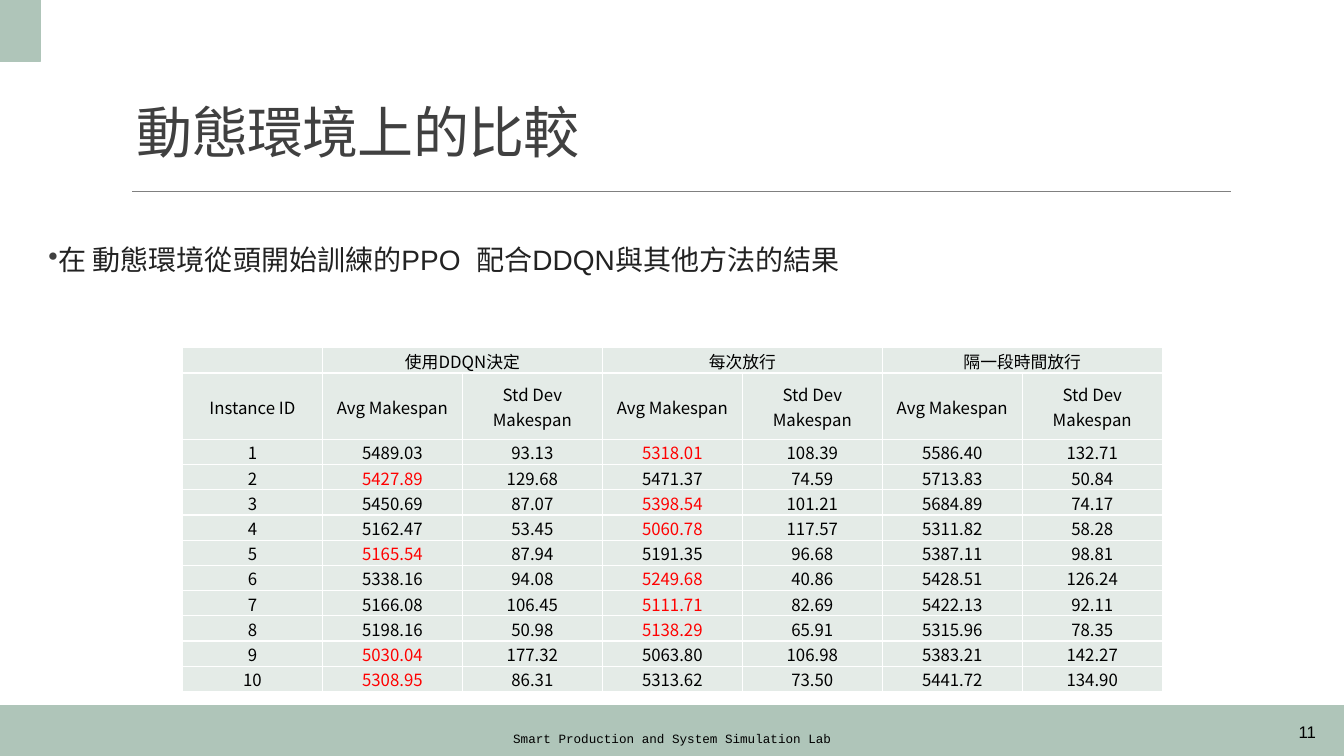
from lxml import etree
from pptx import Presentation
from pptx import util as u
from pptx.dml.color import RGBColor
from pptx.enum import shapes, text
from pptx.oxml.ns import qn

SAGE, PALE, RED = "AFC5B9", "E4EBE7", "FF0000"
NOTO = "Noto Sans CJK SC"
SIDES = ("left", "top", "right", "bottom")


def color(code):
    return RGBColor.from_string(code)


def fit(item, values):
    for key, value in values.items():
        setattr(item, key, value)


def inset(*sizes):
    return {f"margin_{side}": u.Inches(size) for side, size in zip(SIDES, sizes)}


class Page:
    def __init__(self, deck):
        self.slide = deck.slides.add_slide(deck.slide_layouts[6])
        self.shapes = self.slide.shapes
        self.base = {"size": u.Pt(12), "name": NOTO}

    def block(self, *box):
        bar = self.shapes.add_shape(shapes.MSO_SHAPE.RECTANGLE, *map(u.Inches, box))
        bar.shadow.inherit = False
        bar.fill.solid()
        bar.fill.fore_color.rgb = color(SAGE)
        bar.line.color.rgb = color(SAGE)
        bar.line.width = u.Pt(1.25)

    def rule(self, *ends):
        line = self.shapes.add_connector(shapes.MSO_CONNECTOR.STRAIGHT, *map(u.Inches, ends))
        line.line.color.rgb = color("808080")
        line.line.width = u.Pt(0.5)
        etree.SubElement(line._element.spPr, qn("a:effectLst"))

    def phrase(self, para, words, tint="000000", **style):
        run = para.add_run()
        run.text = words
        fit(run.font, self.base | style)
        run.font.color.rgb = color(tint)
        props = run._r.get_or_add_rPr()
        etree.SubElement(props, qn("a:ea"), typeface=NOTO)
        return props

    def label(self, box, words, frame, layout, **style):
        body = self.shapes.add_textbox(*map(u.Inches, box)).text_frame
        fit(body, {"word_wrap": True} | frame)
        para = body.paragraphs[0]
        fit(para, layout)
        return para, self.phrase(para, words, **style)

    def bullet(self, para, tint):
        props = para._p.get_or_add_pPr()
        props.set("marL", str(u.Inches(0.1)))
        props.set("indent", str(u.Inches(-0.1)))
        mark = etree.SubElement(props, qn("a:buClr"))
        etree.SubElement(mark, qn("a:srgbClr"), val=tint)
        etree.SubElement(props, qn("a:buChar"), char="•")

    def cell(self, cell, words, tint):
        fit(cell, {"vertical_anchor": text.MSO_ANCHOR.MIDDLE} | inset(0.01, 0.01, 0.01, 0))
        para = cell.text_frame.paragraphs[0]
        para.alignment = text.PP_ALIGN.CENTER
        if words:
            self.phrase(para, words, tint)
        else:
            etree.SubElement(para._p, qn("a:endParaRPr"), sz="1200")
        props = cell._tc.get_or_add_tcPr()
        for tag in ("a:lnL", "a:lnR", "a:lnT", "a:lnB"):
            edge = etree.SubElement(props, qn(tag), w=str(u.Pt(1)))
            fill = etree.SubElement(edge, qn("a:solidFill"))
            etree.SubElement(fill, qn("a:srgbClr"), val="FFFFFF")
        cell.fill.solid()
        cell.fill.fore_color.rgb = color(PALE)

    def table(self, box, rows, tall):
        grid = self.shapes.add_table(len(rows), len(rows[0]), *map(u.Inches, box)).table
        fit(grid, {"first_row": False, "horz_banding": False})
        for row, size in zip(grid.rows, tall):
            row.height = u.Inches(size)
        for col in (1, 3, 5):
            grid.cell(0, col).merge(grid.cell(0, col + 1))
        for r, row in enumerate(rows):
            # The lowest average of each instance is red
            best = min(row[1::2], key=float) if r > 1 else None
            for c, words in enumerate(row):
                tint = RED if c % 2 and words == best else "000000"
                self.cell(grid.cell(r, c), words, tint)


RESULTS = """
5489.03 93.13 5318.01 108.39 5586.40 132.71
5427.89 129.68 5471.37 74.59 5713.83 50.84
5450.69 87.07 5398.54 101.21 5684.89 74.17
5162.47 53.45 5060.78 117.57 5311.82 58.28
5165.54 87.94 5191.35 96.68 5387.11 98.81
5338.16 94.08 5249.68 40.86 5428.51 126.24
5166.08 106.45 5111.71 82.69 5422.13 92.11
5198.16 50.98 5138.29 65.91 5315.96 78.35
5030.04 177.32 5063.80 106.98 5383.21 142.27
5308.95 86.31 5313.62 73.50 5441.72 134.90
"""


def main():
    deck = Presentation()
    fit(deck, {"slide_width": u.Inches(13.33), "slide_height": u.Inches(7.5)})
    page = Page(deck)
    middle = {"vertical_anchor": text.MSO_ANCHOR.MIDDLE}

    # Frame
    page.block(0, 7, 13.33, 0.5)
    page.rule(1.31, 1.9, 12.21, 1.9)
    page.block(0, 0, 0.4, 0.61)

    # Title
    _, props = page.label((1.26, 1.09, 10.46, 0.6), "動態環境上的比較",
                          {"vertical_anchor": text.MSO_ANCHOR.BOTTOM},
                          {"line_spacing": 0.85}, tint="404040", size=u.Pt(40))
    props.set("spc", "-50")

    # Footer
    page.label((4.03, 7.19, 5.27, 0.28), "Smart Production and System Simulation Lab",
               middle, {"alignment": text.PP_ALIGN.CENTER},
               size=u.Pt(9), name="Courier New")
    page.label((11.72, 7.06, 1.43, 0.4), "11", middle,
               {"alignment": text.PP_ALIGN.RIGHT}, name="Arial")

    # Summary
    para, _ = page.label((0.48, 2.02, 12.67, 4.2),
                         "在 動態環境從頭開始訓練的PPO  配合DDQN與其他方法的結果",
                         inset(0, 0.22, 0, 0.05),
                         {"line_spacing": 1.5, "space_after": u.Pt(2)},
                         tint="222222", size=u.Pt(20), name="Arial")
    page.bullet(para, "404040")

    # Results
    heads = ["", "使用DDQN決定", "", "每次放行", "", "隔一段時間放行", ""]
    names = ["Instance ID"] + ["Avg Makespan", "Std Dev Makespan"] * 3
    data = [[str(n)] + line.split()
            for n, line in enumerate(RESULTS.strip().splitlines(), 1)]
    page.table((1.81, 3.45, 9.72, 3.41), [heads, names] + data,
               [0.25, 0.66] + [0.25] * len(data))

    deck.save("out.pptx")


if __name__ == "__main__":
    main()
